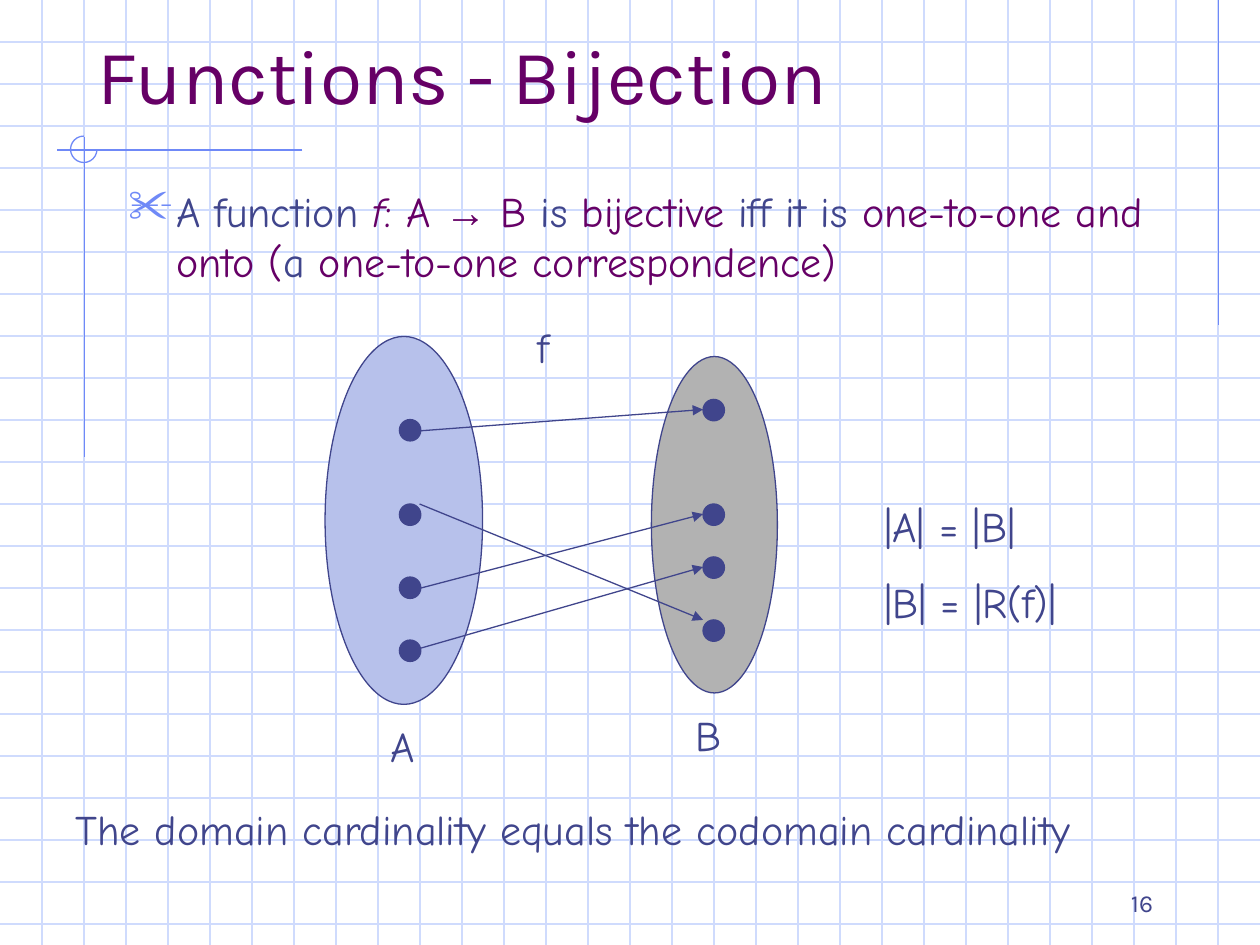
from lxml.etree import SubElement
from pptx import Presentation
from pptx.dml.color import RGBColor
from pptx.enum.shapes import MSO_CONNECTOR, MSO_SHAPE
from pptx.enum.text import MSO_ANCHOR, MSO_AUTO_SIZE, PP_ALIGN
from pptx.oxml.ns import qn
from pptx.util import Inches, Pt


def tint(code):
    return RGBColor.from_string(code)


class Deck:
    """Hold the style and the current slide, and draw each kind of element."""

    ink, plum, sky, grid = "40458C", "660066", "6F89F7", "CFDBFD"
    head, hand = "Karla", "Comic Neue"

    def __init__(self, slide):
        self.slide = slide
        self.shapes = slide.shapes

    def style(self, font, size, name, color):
        font.size, font.name = Pt(size), name
        font.color.rgb = tint(color)

    def line(self, x1, y1, x2, y2, color, arrow=False):
        line = self.shapes.add_connector(
            MSO_CONNECTOR.STRAIGHT, *map(Inches, (x1, y1, x2, y2)))
        line.line.color.rgb = tint(color)
        line.line.width = Pt(0.75)
        props = line._element.spPr
        if arrow:
            SubElement(props.find(qn("a:ln")), qn("a:tailEnd"), type="triangle")
        SubElement(props, qn("a:effectLst"))

    def shape(self, kind, box, fill, color):
        shape = self.shapes.add_shape(kind, *map(Inches, box))
        shape.shadow.inherit = False
        if fill:
            shape.fill.solid()
            shape.fill.fore_color.rgb = tint(fill)
        else:
            shape.fill.background()
        shape.line.color.rgb = tint(color)
        shape.line.width = Pt(0.75)
        return shape

    def oval(self, box, fill):
        self.shape(MSO_SHAPE.OVAL, box, fill, self.ink)

    def dot(self, x, y):
        self.oval((x, y, 0.17, 0.17), self.ink)

    def arc(self, box):
        arc = self.shape(MSO_SHAPE.ARC, box, None, self.sky)
        arc.adjustments[0], arc.adjustments[1] = 0, 162

    def title(self, text, box):
        title = self.shapes.title
        title.left, title.top, title.width, title.height = map(Inches, box)
        self.shapes._spTree.append(title._element)
        frame = title.text_frame
        frame.text = text
        frame.word_wrap = True
        frame.auto_size = MSO_AUTO_SIZE.NONE
        frame.vertical_anchor = MSO_ANCHOR.BOTTOM
        para = frame.paragraphs[0]
        para.alignment = PP_ALIGN.LEFT
        self.style(para.font, 44, self.head, self.plum)

    def text(self, lines, box, size=24, name=hand, align=PP_ALIGN.LEFT,
             anchor=MSO_ANCHOR.TOP):
        frame = self.shapes.add_textbox(*map(Inches, box)).text_frame
        frame.word_wrap = True
        frame.vertical_anchor = anchor
        for i, line in enumerate(lines):
            para = frame.add_paragraph() if i else frame.paragraphs[0]
            para.text = line
            para.alignment = align
            para.space_before = Pt(15 if i else 0)
            self.style(para.font, size, name, self.ink)

    def point(self, runs, box, mark):
        frame = self.shapes.add_textbox(*map(Inches, box)).text_frame
        frame.word_wrap = True
        para = frame.paragraphs[0]
        props = para._p.get_or_add_pPr()
        props.set("marL", str(Inches(0.38)))
        props.set("indent", str(Inches(-0.38)))
        SubElement(SubElement(props, qn("a:buClr")), qn("a:srgbClr"), val=self.sky)
        SubElement(props, qn("a:buSzPct"), val="110000")
        SubElement(props, qn("a:buChar"), char=mark)
        para.font.size = Pt(24)
        for text, color, name, slant in runs:
            run = para.add_run()
            run.text = text
            self.style(run.font, 24, name, color)
            run.font.italic = slant


def main():
    show = Presentation()
    show.slide_width, show.slide_height = Inches(10), Inches(7.5)
    deck = Deck(show.slides.add_slide(show.slide_layouts[5]))
    ink, plum, sky, hand = deck.ink, deck.plum, deck.sky, deck.hand

    for i in range(1, 23):
        deck.line(0, i / 3, 10, i / 3, deck.grid)
    for i in range(1, 30):
        deck.line(i / 3, 0, i / 3, 7.5, deck.grid)
    deck.line(9.67, 0, 9.67, 2.58, sky)
    deck.line(2.4, 1.19, 0.45, 1.19, sky)
    deck.line(0.67, 1.09, 0.67, 3.63, sky)
    deck.arc((0.56, 1.08, 0.21, 0.21))

    deck.title("Functions - Bijection", (0.67, 0.33, 9, 0.67))
    deck.point([
        ("A function ", ink, hand, False),
        ("f", plum, hand, True),
        (": A ", plum, hand, False),
        ("→", plum, "Arial", False),
        (" B", plum, hand, False),
        (" is ", ink, hand, False),
        ("bijective", plum, hand, False),
        (" iff it is ", ink, hand, False),
        ("one-to-one and onto (", plum, hand, False),
        ("a", ink, hand, False),
        (" one-to-one correspondence)", plum, hand, False),
    ], (0.92, 1.42, 8.5, 4.75), "✂")

    deck.oval((2.58, 2.67, 1.25, 2.92), "B7C1EB")
    deck.oval((5.17, 2.83, 1, 2.67), "B2B2B2")
    for x, tops in ((3.17, (3.33, 4, 4.58, 5.08)), (5.58, (3.17, 4, 4.42, 4.92))):
        for y in tops:
            deck.dot(x, y)
    for x, start, end in ((3.33, 3.42, 3.25), (3.33, 4.67, 4.08),
                          (3.25, 5.17, 4.5), (3.33, 4, 4.92)):
        deck.line(x, start, 5.58, end, ink, arrow=True)

    deck.text(["f"], (4.17, 2.5, 0.92, 0.5))
    deck.text(["A"], (3, 5.67, 0.58, 0.5))
    deck.text(["B"], (5.42, 5.58, 0.58, 0.5))
    deck.text(["|A| = |B|", "|B| = |R(f)|"], (6.92, 3.92, 2.42, 1.11))
    deck.text(["The domain cardinality equals the codomain cardinality"],
              (0.5, 6.33, 9.08, 0.5))
    deck.text(["16"], (7.17, 7.08, 2.08, 0.25), 14, deck.head,
              PP_ALIGN.RIGHT, MSO_ANCHOR.BOTTOM)
    show.save("out.pptx")


if __name__ == "__main__":
    main()
